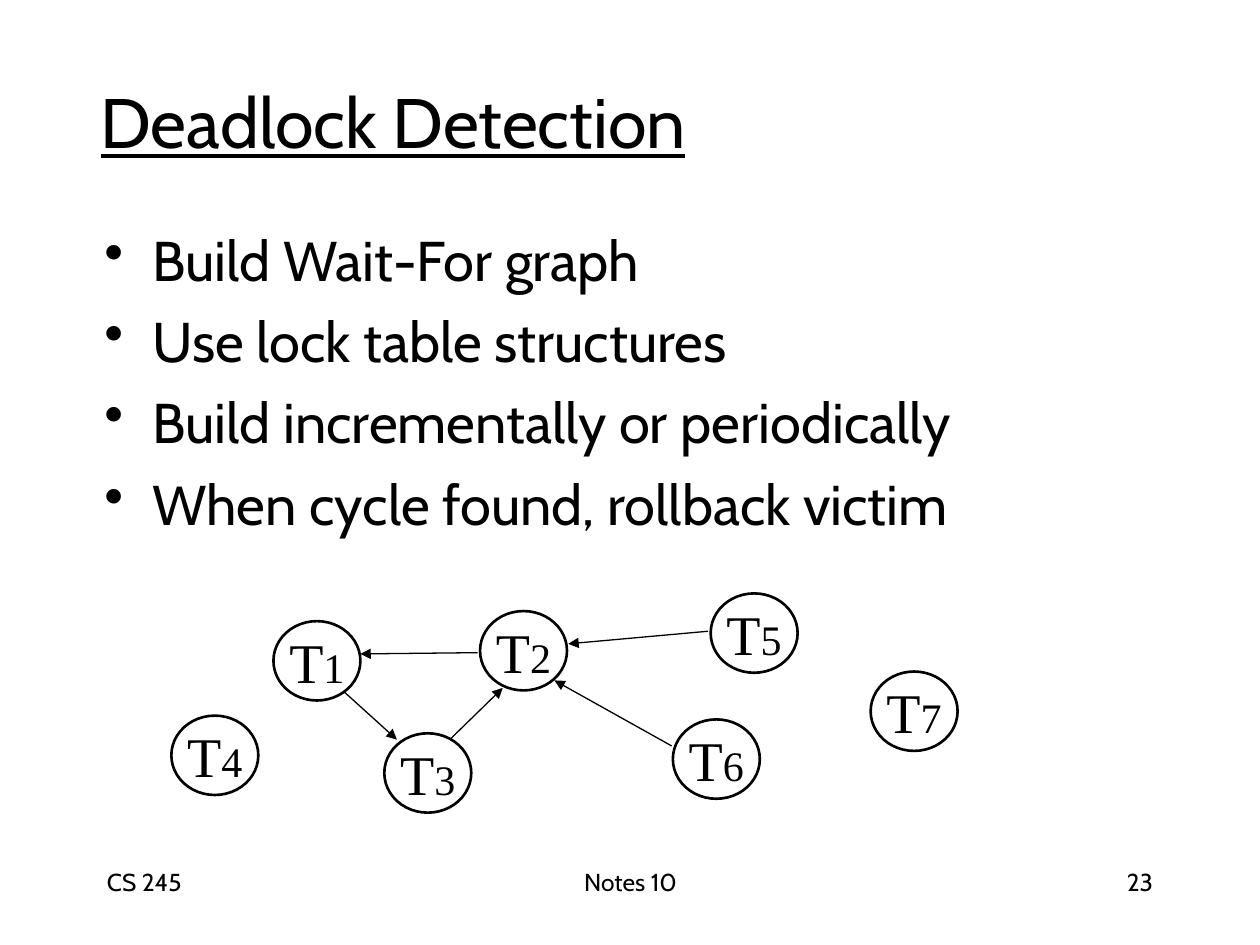
"""Build a slide on deadlock detection with a wait-for graph."""
import dataclasses
import typing

import lxml.etree
import pptx
import pptx.dml.color
import pptx.enum.shapes
import pptx.enum.text
import pptx.oxml.ns
import pptx.util

ALIGN = pptx.enum.text.PP_ALIGN
ANCHOR = pptx.enum.text.MSO_ANCHOR
qn = pptx.oxml.ns.qn


@dataclasses.dataclass(frozen=True)
class Theme:
    ink: pptx.dml.color.RGBColor = pptx.dml.color.RGBColor(0, 0, 0)
    paper: pptx.dml.color.RGBColor = pptx.dml.color.RGBColor(255, 255, 255)
    sans: str = "Cabin"
    serif: str = "Times New Roman"
    title: int = 40
    body: int = 32
    index: int = 24
    foot: int = 14
    gap: int = 8
    ring: float = 1.5
    edge: float = 0.75


class Box(typing.NamedTuple):
    col: float
    row: float
    cols: float
    rows: float


class Node(typing.NamedTuple):
    name: str
    col: float
    row: float


class Edge(typing.NamedTuple):
    col: float
    row: float
    to_col: float
    to_row: float


class Foot(typing.NamedTuple):
    text: str
    col: float
    cols: float
    align: ALIGN


THEME = Theme()
UNIT = pptx.util.Inches(0.1)
COLS, ROWS = 100, 75
NODE_COLS, NODE_ROWS = 6.9, 6.3
FOOT_ROW, FOOT_ROWS = 68.3, 5
POINTS = [
    "Build Wait-For graph",
    "Use lock table structures",
    "Build incrementally or periodically",
    "When cycle found, rollback victim",
]
NODES = [
    Node("T1", 21.7, 49.3),
    Node("T3", 30.5, 58.2),
    Node("T2", 38.1, 48.5),
    Node("T6", 53.4, 57.1),
    Node("T5", 56.4, 47.1),
    Node("T4", 13.6, 56.8),
    Node("T7", 69.1, 53.3),
]
EDGES = [
    Edge(27.3, 54.9, 31.5, 58.7),
    Edge(35.8, 58.6, 39.9, 54.6),
    Edge(37.9, 51.8, 28.6, 51.9),
    Edge(56.2, 50.1, 45.1, 51.1),
    Edge(53.3, 59.2, 44, 54),
]
FEET = [
    Foot("CS 245", 7.5, 20.8, ALIGN.LEFT),
    Foot("Notes 10", 34.2, 31.7, ALIGN.CENTER),
    Foot("23", 71.7, 20.8, ALIGN.RIGHT),
]


def grid(*cells: float) -> list[pptx.util.Emu]:
    return [pptx.util.Emu(round(cell * UNIT)) for cell in cells]


def style(font, size: int, face: str) -> None:
    font.size = pptx.util.Pt(size)
    font.name = face
    font.color.rgb = THEME.ink


def write(slide, box: Box, lines: list[str], size: int, align=ALIGN.LEFT,
          anchor=ANCHOR.TOP, bullet: bool = False, under: bool = False) -> None:
    frame = slide.shapes.add_textbox(*grid(*box)).text_frame
    frame.word_wrap = True
    frame.vertical_anchor = anchor
    frame.text = "\n".join(lines)
    for rank, para in enumerate(frame.paragraphs):
        para.alignment = align
        if bullet:
            para.space_before = pptx.util.Pt(THEME.gap if rank else 0)
            props = para._p.get_or_add_pPr()
            dent = pptx.util.Inches(0.38)
            props.set("marL", str(dent))
            props.set("indent", str(-dent))
            lines_mark = lxml.etree.SubElement(props, qn("a:buChar"))
            lines_mark.set("char", "•")
        style(para.font, size, THEME.sans)
        if under:
            para.font.underline = True


def draw_node(slide, node: Node) -> None:
    oval = slide.shapes.add_shape(
        pptx.enum.shapes.MSO_SHAPE.OVAL,
        *grid(node.col, node.row, NODE_COLS, NODE_ROWS))
    oval.shadow.inherit = False
    oval.fill.solid()
    oval.fill.fore_color.rgb = THEME.paper
    oval.line.color.rgb = THEME.ink
    oval.line.width = pptx.util.Pt(THEME.ring)
    frame = oval.text_frame
    frame.word_wrap = False
    frame.vertical_anchor = ANCHOR.MIDDLE
    para = frame.paragraphs[0]
    para.alignment = ALIGN.CENTER
    for text, size in zip(node.name, (THEME.body, THEME.index)):
        run = para.add_run()
        run.text = text
        style(run.font, size, THEME.serif)


def draw_edge(slide, edge: Edge) -> None:
    link = slide.shapes.add_connector(
        pptx.enum.shapes.MSO_CONNECTOR.STRAIGHT, *grid(*edge))
    link.line.color.rgb = THEME.ink
    link.line.width = pptx.util.Pt(THEME.edge)
    props = link._element.spPr
    tip = lxml.etree.SubElement(props.find(qn("a:ln")), qn("a:tailEnd"))
    tip.set("type", "triangle")
    lxml.etree.SubElement(props, qn("a:effectLst"))


def main() -> None:
    deck = pptx.Presentation()
    deck.slide_width, deck.slide_height = grid(COLS, ROWS)
    slide = deck.slides.add_slide(deck.slide_layouts[6])
    write(slide, Box(7, 4.9, 85, 9.4), ["Deadlock Detection"], THEME.title,
          anchor=ANCHOR.MIDDLE, under=True)
    write(slide, Box(7.3, 17.4, 85, 26.8), POINTS, THEME.body, bullet=True)
    for node in NODES:
        draw_node(slide, node)
    for edge in EDGES:
        draw_edge(slide, edge)
    for foot in FEET:
        write(slide, Box(foot.col, FOOT_ROW, foot.cols, FOOT_ROWS),
              [foot.text], THEME.foot, foot.align)
    deck.save("out.pptx")


if __name__ == "__main__":
    main()
